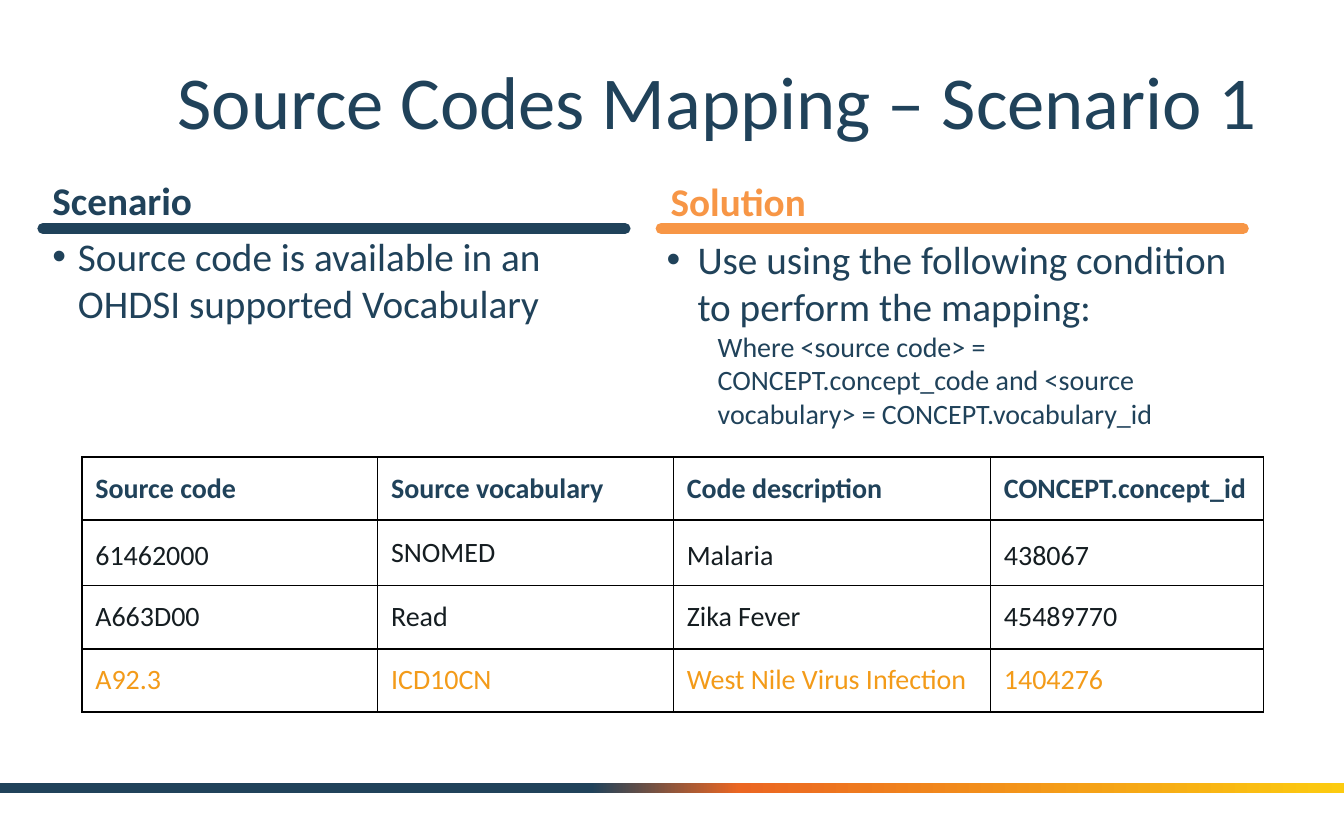
"""Build a slide on mapping source codes to concepts, with a table of examples."""
from lxml.etree import SubElement
from pptx import Presentation
from pptx.dml.color import RGBColor
from pptx.enum.shapes import MSO_CONNECTOR, MSO_SHAPE
from pptx.enum.text import MSO_ANCHOR, MSO_AUTO_SIZE, PP_ALIGN
from pptx.oxml import parse_xml
from pptx.oxml.ns import nsdecls, qn
from pptx.util import Inches, Pt

NAVY = RGBColor(0x20, 0x42, 0x5A)
ORANGE = RGBColor(0xF7, 0x96, 0x46)
AMBER = RGBColor(0xF3, 0x9B, 0x19)
INK = RGBColor(0x15, 0x1D, 0x21)
BLACK = RGBColor(0, 0, 0)
BAND_STOPS = [(44, NAVY), (55, RGBColor(0xEB, 0x66, 0x22)), (100, RGBColor(0xFC, 0xCB, 0x10))]

TITLE = "Source Codes Mapping – Scenario 1"
COLUMNS = [
    dict(heading="Scenario", color=NAVY, left=0.32, heading_top=1.31, spacing=0.9,
         body_left=0.32, body_top=1.69, hang=0.19,
         bullet="Source code is available in an OHDSI supported Vocabulary", detail=None),
    dict(heading="Solution", color=ORANGE, left=4.92, heading_top=1.3, spacing=1.0,
         body_left=4.89, body_top=1.71, hang=0.23,
         bullet="Use using the following condition to perform the mapping:",
         detail="Where <source code> = CONCEPT.concept_code and "
                "<source vocabulary> = CONCEPT.vocabulary_id"),
]
CODES = [
    ("Source code", "Source vocabulary", "Code description", "CONCEPT.concept_id"),
    ("61462000", "SNOMED", "Malaria", "438067"),
    ("A663D00", "Read", "Zika Fever", "45489770"),
    ("A92.3", "ICD10CN", "West Nile Virus Infection", "1404276"),
]
ROW_COLORS = [NAVY, INK, INK, AMBER]
TABLE_LEFT, TABLE_TOP, ROW_HEIGHT = 0.61, 3.4, 0.47
COLUMN_WIDTHS = [2.2, 2.2, 2.36, 2.03]
WIDTH, HEIGHT = 10, 6.25
RULE_Y, RULE_LENGTH = 1.7, 4.33
HEADING_HEIGHT, BODY_WIDTH, BODY_HEIGHT = 0.38, 4.4, 1.3


def write(frame, text, size=21, color=NAVY, bold=False, spacing=1.0,
          level=0, margin=0, hang=0, first=True):
    """Write one formatted paragraph, with a bullet when it has a hanging indent."""
    paragraph = frame.paragraphs[0] if first else frame.add_paragraph()
    paragraph.level, paragraph.line_spacing = level, spacing
    paragraph.alignment = PP_ALIGN.LEFT
    props = paragraph._p.get_or_add_pPr()
    props.set("marL", str(Inches(margin or hang)))
    props.set("indent", str(-Inches(hang)))
    if hang:
        SubElement(SubElement(props, qn("a:buClr")), qn("a:srgbClr")).set("val", str(NAVY))
        SubElement(props, qn("a:buFont")).set("typeface", "Arial")
        SubElement(props, qn("a:buChar")).set("char", "•")
    run = paragraph.add_run()
    run.text = text
    run.font.name, run.font.size, run.font.bold = "Calibri", Pt(size), bold
    run.font.color.rgb = color


def set_margins(frame, side, end):
    frame.margin_left = frame.margin_right = Inches(side)
    frame.margin_top = frame.margin_bottom = Inches(end)


def add_box(slide, left, top, width, height):
    frame = slide.shapes.add_textbox(*map(Inches, (left, top, width, height))).text_frame
    frame.word_wrap = True
    set_margins(frame, 0.07, 0.04)
    return frame


def add_band(slide):
    band = slide.shapes.add_shape(MSO_SHAPE.RECTANGLE, 0, Inches(5.83), Inches(WIDTH), Inches(0.07))
    band.shadow.inherit = False
    band.line.fill.background()
    band.fill.gradient()
    band.fill.gradient_angle = 0
    stops = band._element.spPr.find(qn("a:gradFill")).find(qn("a:gsLst"))
    for old in list(stops):
        stops.remove(old)
    for share, color in BAND_STOPS:
        stop = SubElement(stops, qn("a:gs"), pos=str(share * 1000))
        SubElement(stop, qn("a:srgbClr"), val=str(color))


def add_rule(slide, left, color):
    rule = slide.shapes.add_connector(MSO_CONNECTOR.STRAIGHT, Inches(left), Inches(RULE_Y),
                                      Inches(left + RULE_LENGTH), Inches(RULE_Y))
    rule.line.color.rgb, rule.line.width = color, Pt(6)
    rule.line._get_or_add_ln().set("cap", "rnd")
    SubElement(rule._element.spPr, qn("a:effectLst"))


def add_column(slide, column):
    heading = add_box(slide, column["left"], column["heading_top"], 4.2, HEADING_HEIGHT)
    write(heading, column["heading"], color=column["color"], bold=True, spacing=column["spacing"])
    if column["spacing"] == 1:
        set_margins(heading, 0.07, 0.02)
    add_rule(slide, column["left"], column["color"])
    body = add_box(slide, column["body_left"], column["body_top"], BODY_WIDTH, BODY_HEIGHT)
    write(body, column["bullet"], hang=column["hang"])
    if column["detail"]:
        write(body, column["detail"], size=15, level=1, margin=0.38, first=False)


def add_codes(slide):
    table = slide.shapes.add_table(
        len(CODES), len(COLUMN_WIDTHS), Inches(TABLE_LEFT), Inches(TABLE_TOP),
        Inches(sum(COLUMN_WIDTHS)), Inches(ROW_HEIGHT * len(CODES))).table
    table.first_row = table.horz_banding = False
    for index, width in enumerate(COLUMN_WIDTHS):
        table.columns[index].width = Inches(width)
    for row, (values, color) in enumerate(zip(CODES, ROW_COLORS)):
        table.rows[row].height = Inches(ROW_HEIGHT)
        for index, value in enumerate(values):
            cell = table.cell(row, index)
            cell.vertical_anchor = MSO_ANCHOR.MIDDLE
            set_margins(cell, 0.1, 0.1)
            cell.fill.background()
            for position, side in enumerate("LRTB"):
                cell._tc.tcPr.insert(position, parse_xml(
                    f'<a:ln{side} {nsdecls("a")} w="{Pt(1)}"><a:solidFill>'
                    f'<a:srgbClr val="{BLACK}"/></a:solidFill></a:ln{side}>'))
            write(cell.text_frame, value, size=15, color=color, bold=row == 0,
                  spacing=1.15 if row == 1 and index != 1 else 1.0)


def main():
    deck = Presentation()
    deck.slide_width, deck.slide_height = Inches(WIDTH), Inches(HEIGHT)
    slide = deck.slides.add_slide(deck.slide_layouts[5])
    add_band(slide)
    title = slide.shapes.title
    title.left, title.top, title.width, title.height = map(Inches, (1.25, 0.44, 8.25, 0.69))
    title.text_frame.auto_size = MSO_AUTO_SIZE.NONE
    title.text_frame.vertical_anchor = MSO_ANCHOR.MIDDLE
    set_margins(title.text_frame, 0.07, 0.07)
    write(title.text_frame, TITLE, size=40, spacing=0.9)
    for column in COLUMNS:
        add_column(slide, column)
    add_codes(slide)
    deck.save("out.pptx")


if __name__ == "__main__":
    main()
